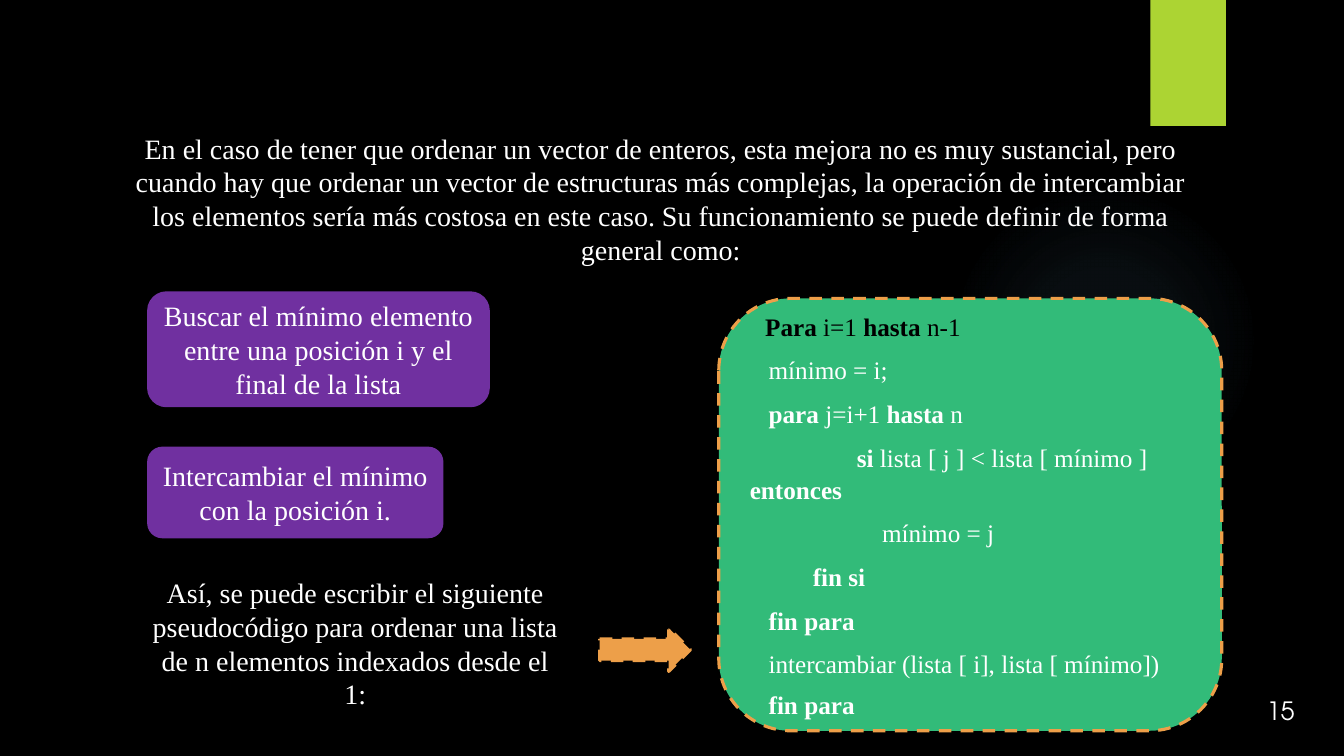
"""Build the slide that presents the selection sort pseudocode."""
import pptx
import pptx.dml.color
import pptx.enum.dml
import pptx.enum.shapes
import pptx.enum.text
import pptx.oxml
import pptx.oxml.ns
import pptx.util

Pt = pptx.util.Pt
RGBColor = pptx.dml.color.RGBColor
Shape = pptx.enum.shapes.MSO_SHAPE
Align = pptx.enum.text.PP_ALIGN

BLACK = RGBColor(0x00, 0x00, 0x00)
WHITE = RGBColor(0xFF, 0xFF, 0xFF)
LIME = RGBColor(0xAC, 0xD4, 0x33)
PURPLE = RGBColor(0x70, 0x30, 0xA0)
GREEN = RGBColor(0x32, 0xBB, 0x79)
ORANGE = RGBColor(0xED, 0x9F, 0x49)
GLOW = RGBColor(0x7A, 0xC4, 0xF0)
SERIF = "Times New Roman"
SANS = "TeX Gyre Adventor"

GLOW_STOPS = [(0, 7), (36, 6), (69, 0)]

PLAIN_TEXTS = [
    ("En el caso de tener que ordenar un vector de enteros, esta mejora no es muy "
     "sustancial, pero cuando hay que ordenar un vector de estructuras más complejas, "
     "la operación de intercambiar los elementos sería más costosa en este caso. "
     "Su funcionamiento se puede definir de forma general como:",
     (88.5, 95, 767, 93.6), SERIF, 20),
    ("Así, se puede escribir el siguiente pseudocódigo para ordenar una lista "
     "de n elementos indexados desde el 1:",
     (98.6, 412.6, 310.3, 93.6), SERIF, 20),
    ("15", (884.9, 490.3, 59.8, 34.6), SANS, 18),
]

STEPS = [
    ("Buscar el mínimo elemento entre una posición i y el final de la lista",
     (105.1, 208.1, 244.8, 82.8)),
    ("Intercambiar el mínimo con la posición i.",
     (105.1, 319, 211.7, 65.5)),
]

CODE_BOX = (513.4, 213.1, 359.3, 308.9)
CODE_LINES = [
    (11, BLACK, [("Para ", True), ("i=1 ", False), ("hasta", True), (" n-1", False)]),
    (13.5, WHITE, [("mínimo = i;", False)]),
    (13.5, WHITE, [("para ", True), ("j=i+1 ", False), ("hasta ", True), ("n", False)]),
    (76.5, WHITE, [("si ", True), ("lista [ j ] < lista [ mínimo ] ", False),
                   ("entonces", True)]),
    (94.5, WHITE, [("mínimo = j", False)]),
    (45, WHITE, [("fin si", True)]),
    (13.5, WHITE, [("fin para", True)]),
    (13.5, WHITE, [("intercambiar (lista [ i], lista [ mínimo])", False)]),
    (13.5, WHITE, [("fin para", True)]),
]


def add_figure(page, kind, place, fill, dash=None):
    figure = page.shapes.add_shape(kind, *map(Pt, place))
    figure.shadow.inherit = False
    figure.fill.solid()
    figure.fill.fore_color.rgb = fill
    if dash is None:
        figure.line.fill.background()
    else:
        figure.line.color.rgb = dash
        figure.line.width = Pt(2.25)
        figure.line.dash_style = pptx.enum.dml.MSO_LINE.DASH
    return figure


def add_span(para, text, font=SERIF, size=20, color=WHITE, bold=False):
    span = para.add_run()
    span.text = text
    span.font.name = font
    span.font.size = Pt(size)
    span.font.color.rgb = color
    span.font.bold = bold


def prepare_frame(box):
    frame = box.text_frame
    frame.word_wrap = True
    frame.vertical_anchor = pptx.enum.text.MSO_ANCHOR.MIDDLE
    return frame


def write_centered(box, text, **style):
    para = prepare_frame(box).paragraphs[0]
    para.alignment = Align.CENTER
    add_span(para, text, **style)


def add_glow(page):
    glow = add_figure(page, Shape.OVAL, (677.5, 131.8, 221.8, 221.8), GLOW)
    stops = "".join(
        f'<a:gs pos="{position * 1000}"><a:srgbClr val="{GLOW}">'
        f'<a:alpha val="{opacity * 1000}"/></a:srgbClr></a:gs>'
        for position, opacity in GLOW_STOPS)
    gradient = pptx.oxml.parse_xml(
        f'<a:gradFill {pptx.oxml.ns.nsdecls("a")}><a:gsLst>{stops}</a:gsLst>'
        '<a:path path="circle"><a:fillToRect l="50000" t="50000" r="50000" b="50000"/>'
        '</a:path></a:gradFill>')
    properties = glow.element.spPr
    properties.replace(properties.find(pptx.oxml.ns.qn("a:solidFill")), gradient)


def add_code(page):
    box = add_figure(page, Shape.ROUNDED_RECTANGLE, CODE_BOX, GREEN, dash=ORANGE)
    frame = prepare_frame(box)
    last = len(CODE_LINES) - 1
    for index, (indent, color, spans) in enumerate(CODE_LINES):
        para = frame.paragraphs[0] if index == 0 else frame.add_paragraph()
        para.alignment = Align.LEFT
        if index < last:
            para.line_spacing = 1.07
            para.space_after = Pt(8)
        settings = para._p.get_or_add_pPr()
        settings.set("marL", "0")
        settings.set("indent", str(Pt(indent)))
        for text, bold in spans:
            add_span(para, text, size=18, color=color, bold=bold)


def main():
    deck = pptx.Presentation()
    deck.slide_width, deck.slide_height = Pt(960), Pt(540)
    page = deck.slides.add_slide(deck.slide_layouts[6])
    page.background.fill.solid()
    page.background.fill.fore_color.rgb = BLACK

    add_glow(page)
    add_figure(page, Shape.RECTANGLE, (821.7, 0, 54, 90), LIME)
    for text, place, font, size in PLAIN_TEXTS:
        box = page.shapes.add_textbox(*map(Pt, place))
        write_centered(box, text, font=font, size=size)
    for text, place in STEPS:
        write_centered(add_figure(page, Shape.ROUNDED_RECTANGLE, place, PURPLE), text)
    add_code(page)
    add_figure(page, Shape.RIGHT_ARROW, (428.4, 448.6, 64.8, 31), ORANGE, dash=ORANGE)
    deck.save("out.pptx")


if __name__ == "__main__":
    main()
